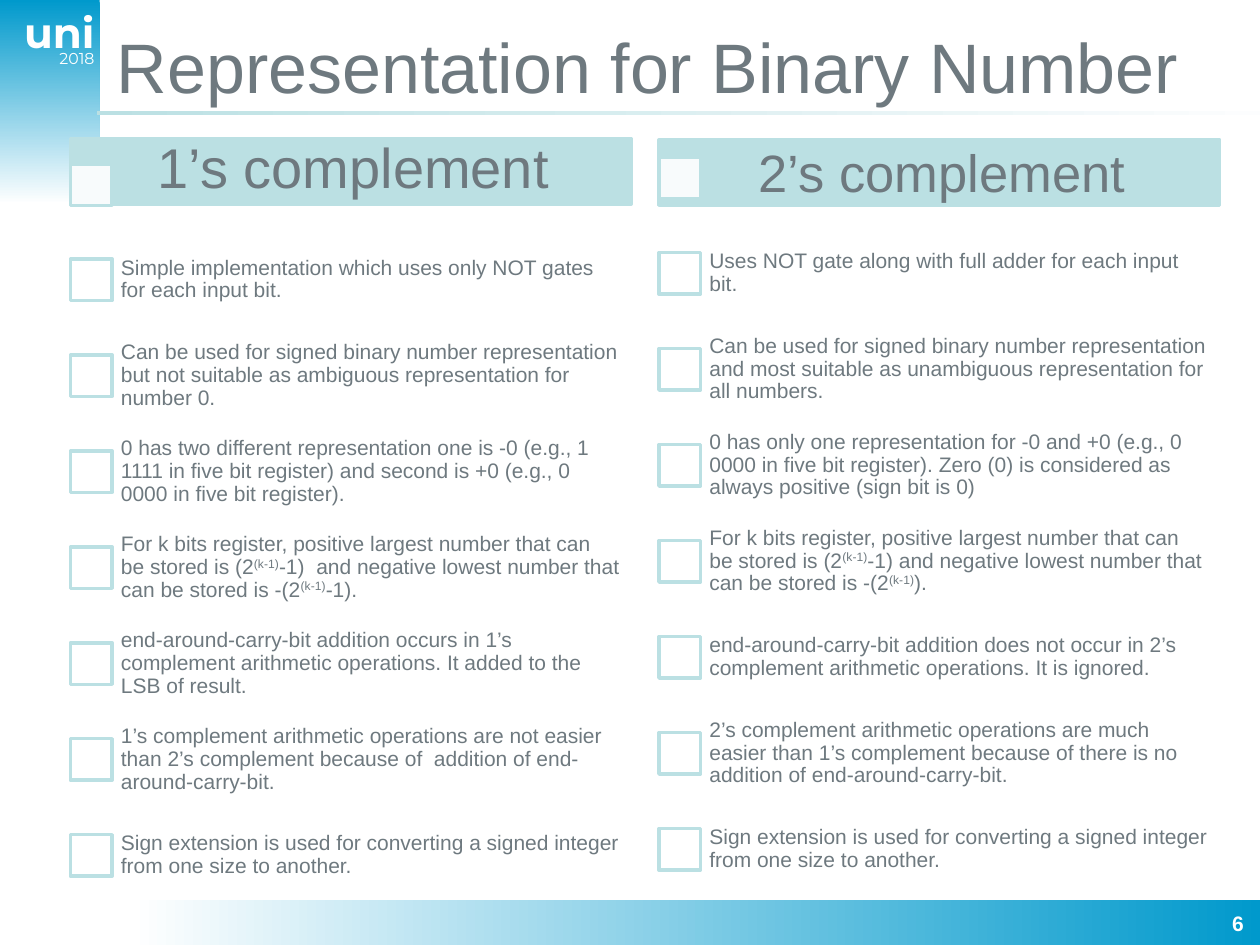
from lxml import etree
from pptx import Presentation
from pptx import util as u
from pptx.dml.color import RGBColor
from pptx.enum import shapes, text
from pptx.oxml.ns import qn

THEME = {
    "ink": RGBColor.from_string("6E797F"),
    "white": RGBColor.from_string("FFFFFF"),
    "blue": RGBColor.from_string("0099CC"),
    "mint": RGBColor.from_string("BBE0E3"),
    "mist": RGBColor.from_string("FCFDFE"),
    "body": "Arial",
    "mark": "Montserrat",
    "sizes": {"title": 40, "left": 32, "right": 30, "mark": 24, "item": 12, "year": 9},
}

deck = Presentation()
deck.slide_width, deck.slide_height = u.Inches(10), u.Inches(7.5)
page = deck.slides.add_slide(deck.slide_layouts[6])


def add_block(place, colors, angle=0, outlined=False):
    block = page.shapes.add_shape(shapes.MSO_SHAPE.RECTANGLE, *map(u.Inches, place))
    block.shadow.inherit = False
    if len(colors) == 2:
        block.fill.gradient()
        block.fill.gradient_angle = angle
        for stop, color, position in zip(block.fill.gradient_stops, colors, (0, 1)):
            stop.color.rgb = color
            stop.position = position
    else:
        block.fill.solid()
        block.fill.fore_color.rgb = colors[0]
    if outlined:
        block.line.color.rgb = THEME["mint"]
        block.line.width = u.Pt(2)
    else:
        block.line.fill.background()
    return block


def add_text(place, words, size, color="ink", font="body", bold=False,
             align="LEFT", anchor="MIDDLE", inset=(0.1, 0.05), spacing=1.0):
    box = page.shapes.add_textbox(*map(u.Inches, place))
    across, down = map(u.Inches, inset)
    frame_format = {
        "word_wrap": True,
        "vertical_anchor": text.MSO_ANCHOR[anchor],
        "margin_left": across, "margin_right": across,
        "margin_top": down, "margin_bottom": down,
    }
    for name, value in frame_format.items():
        setattr(box.text_frame, name, value)
    para = box.text_frame.paragraphs[0]
    para.alignment = text.PP_ALIGN[align]
    para.line_spacing = spacing
    font_format = {"name": THEME[font], "size": u.Pt(THEME["sizes"][size]), "bold": bold}
    for index, part in enumerate(words.split("^")):
        span = para.add_run()
        span.text = part
        for name, value in font_format.items():
            setattr(span.font, name, value)
        span.font.color.rgb = THEME[color]
        if index % 2:
            span._r.get_or_add_rPr().set("baseline", "30000")


add_block((0, 0, 0.79, 1.62), (THEME["blue"], THEME["white"]), angle=270)
add_block((0.77, 0.88, 9.23, 0.03), (THEME["mint"], THEME["mist"]))
add_block((1.04, 7.14, 8.96, 0.36), (THEME["white"], THEME["blue"]))

corner = {"color": "white", "font": "mark", "align": "RIGHT", "anchor": "TOP", "inset": (0, 0)}
add_text((0.24, 0.39, 0.51, 0.15), "2018", "year", **corner)
add_text((0.06, 0.05, 0.69, 0.32), "uni", "mark", bold=True, **corner)
add_text((0.83, 0.05, 9, 0.94), "Representation for Binary Number", "title")
add_text((9.49, 7.18, 0.48, 0.32), "6", "item", color="white", bold=True,
         align="RIGHT", anchor="TOP")

columns = [
    {
        "left": 0.56, "band_top": 1.1, "tick_top": 1.3, "first_row": 1.84,
        "heading": "1’s complement", "size": "left",
        "heading_place": (1.18, 1.03, 3.82, 0.64),
        "items": [
            "Simple implementation which uses only NOT gates for each input bit.",
            "Can be used for signed binary number representation but not suitable "
            "as ambiguous representation for number 0.",
            "0 has two different representation one is -0 (e.g., 1 1111 in five bit "
            "register) and second is +0 (e.g., 0 0000 in five bit register).",
            "For k bits register, positive largest number that can be stored is "
            "(2^(k-1)^-1)  and negative lowest number that can be stored is -(2^(k-1)^-1).",
            "end-around-carry-bit addition occurs in 1’s complement arithmetic "
            "operations. It added to the LSB of result.",
            "1’s complement arithmetic operations are not easier than 2’s complement "
            "because of  addition of end-around-carry-bit.",
            "Sign extension is used for converting a signed integer from one size to another.",
        ],
    },
    {
        "left": 5.23, "band_top": 1.11, "tick_top": 1.25, "first_row": 1.79,
        "heading": "2’s complement", "size": "right",
        "heading_place": (5.95, 1.13, 3.57, 0.53),
        "items": [
            "Uses NOT gate along with full adder for each input bit.",
            "Can be used for signed binary number representation and most suitable "
            "as unambiguous representation for all numbers.",
            "0 has only one representation for -0 and +0 (e.g., 0 0000 in five bit "
            "register). Zero (0) is considered as always positive (sign bit is 0)",
            "For k bits register, positive largest number that can be stored is "
            "(2^(k-1)^-1) and negative lowest number that can be stored is -(2^(k-1)^).",
            "end-around-carry-bit addition does not occur in 2’s complement arithmetic "
            "operations. It is ignored.",
            "2’s complement arithmetic operations are much easier than 1’s complement "
            "because of there is no addition of end-around-carry-bit.",
            "Sign extension is used for converting a signed integer from one size to another.",
        ],
    },
]

tick_size = 0.33
row_height = 0.76
row_step = 4.57 / 6

for column in columns:
    left = column["left"]
    add_block((left, column["band_top"], 4.45, 0.52), [THEME["mint"]], outlined=True)
    tick = add_block((left, column["tick_top"], tick_size, tick_size),
                     [THEME["white"]], outlined=True)
    tint = tick._element.spPr.find(qn("a:solidFill")).find(qn("a:srgbClr"))
    etree.SubElement(tint, qn("a:alpha")).set("val", "90000")
    add_text(column["heading_place"], column["heading"], column["size"],
             inset=(0.07, 0.04), spacing=0.9)
    for row, item in enumerate(column["items"]):
        top = column["first_row"] + row * row_step
        tick_top = top + (row_height - tick_size) / 2
        add_block((left, tick_top, tick_size, tick_size), [THEME["white"]], outlined=True)
        add_text((left + 0.31, top, 4.14, row_height), item, "item",
                 inset=(0.09, 0.09), spacing=0.9)

deck.save("out.pptx")
